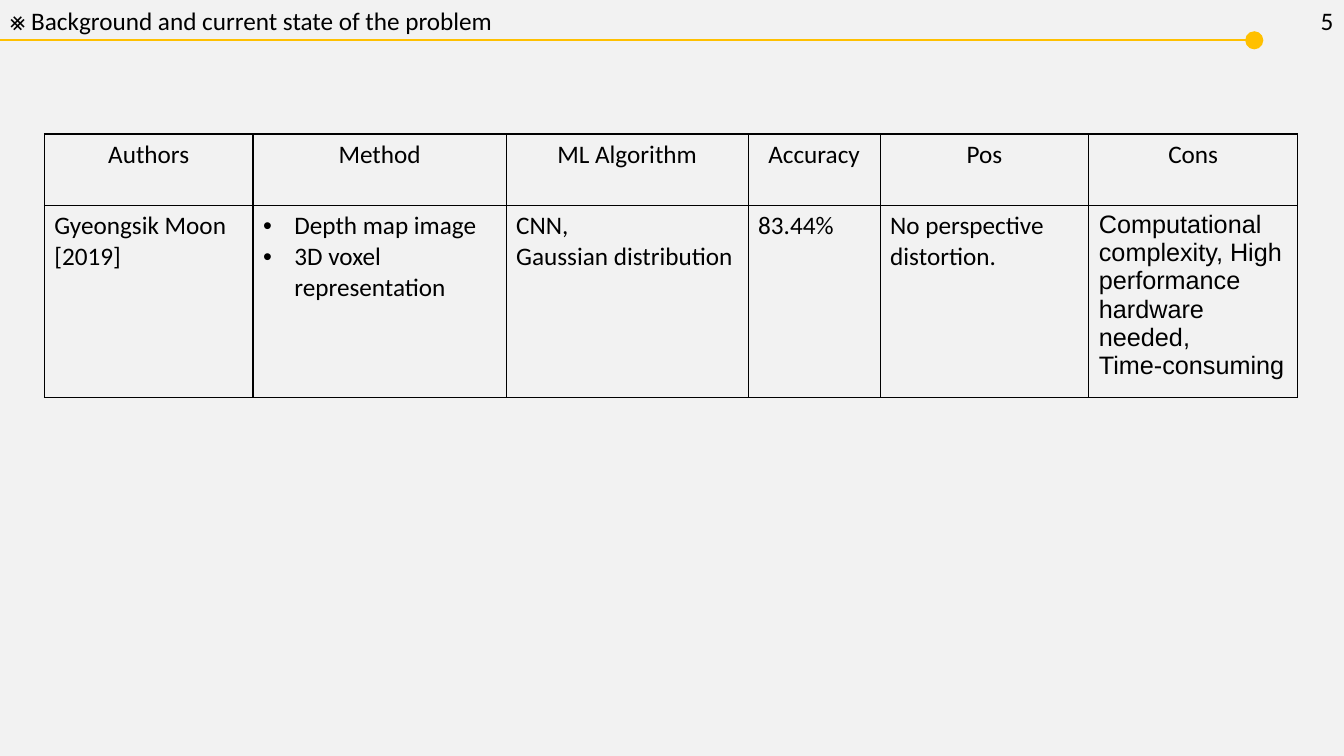
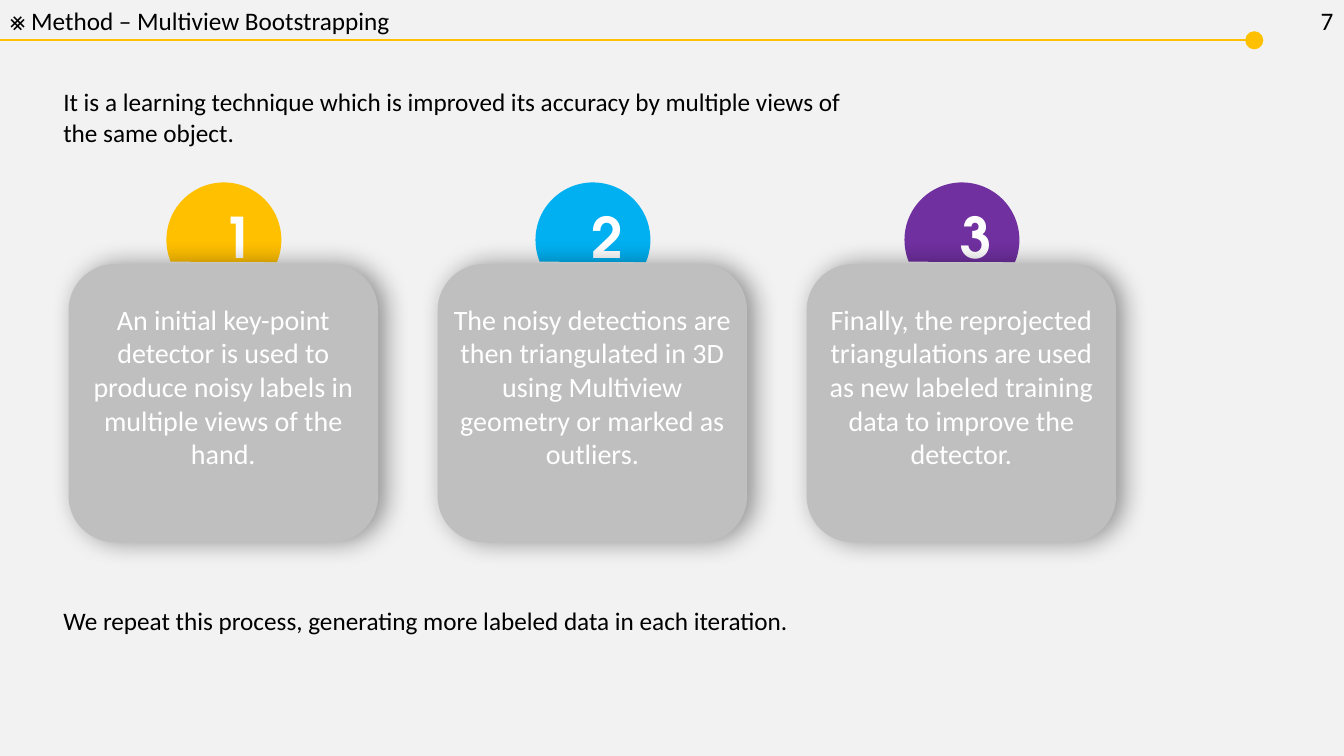
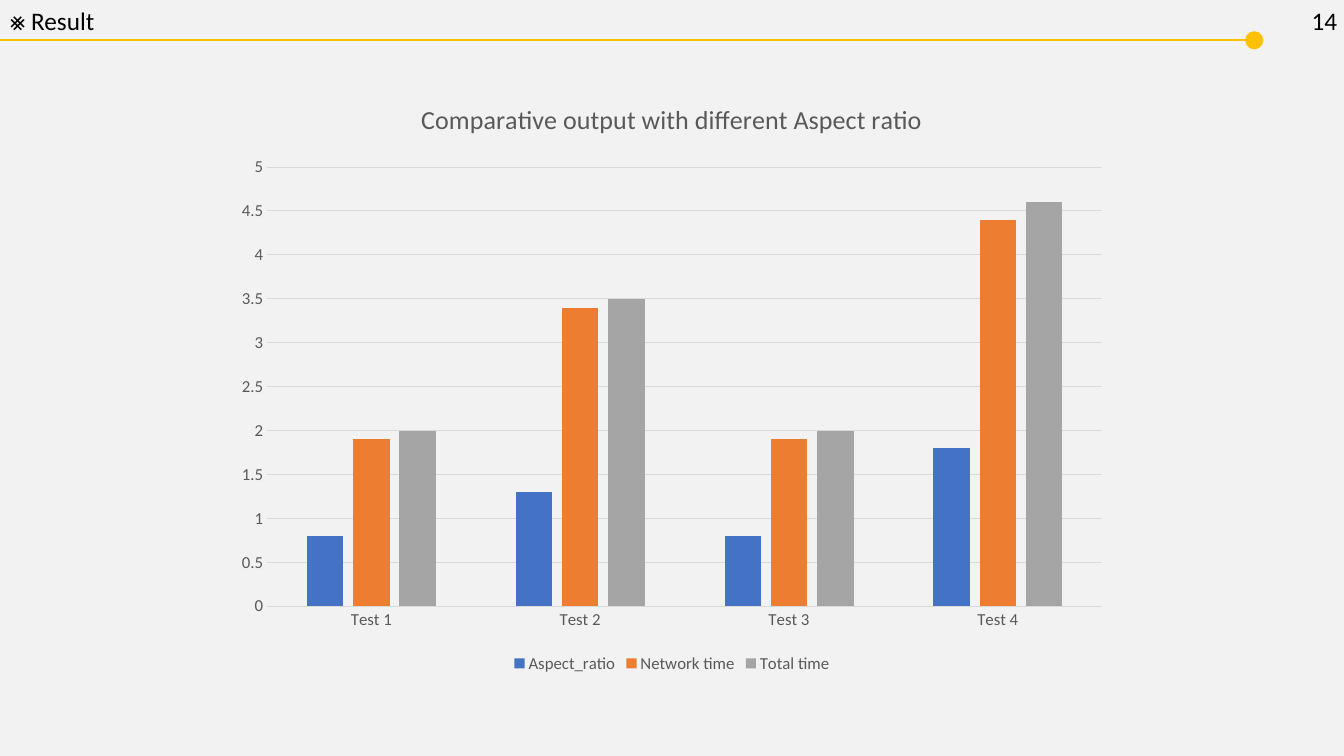
import pptx
import pptx.util
import pptx.dml.color
import pptx.enum.shapes
import pptx.enum.text
import pptx.enum.chart
import pptx.chart.data
import pptx.oxml
import pptx.oxml.ns
from lxml import etree

Inches = pptx.util.Inches
Pt = pptx.util.Pt
Shape = pptx.enum.shapes.MSO_SHAPE
Align = pptx.enum.text.PP_ALIGN
Fit = pptx.enum.text.MSO_AUTO_SIZE
qn = pptx.oxml.ns.qn

HUES = {
    "page": "F2F2F2", "ink": "000000", "white": "FFFFFF", "card": "BFBFBF",
    "gold": "FFC000", "sky": "00B0F0", "plum": "7030A0",
    "blue": "4472C4", "orange": "ED7D31", "gray": "A5A5A5",
    "label": "595959", "grid": "D9D9D9",
}


def rgb(hue):
    return pptx.dml.color.RGBColor.from_string(HUES[hue])


def assign(item, values):
    for key, value in values.items():
        setattr(item, key, value)


def style(font, size=18, hue="ink", name="Calibri", bold=False):
    assign(font, {"size": Pt(size), "name": name, "bold": bold})
    font.color.rgb = rgb(hue)


class Deck:
    def __init__(self):
        self.prs = pptx.Presentation()
        assign(self.prs, {"slide_width": Inches(13.33), "slide_height": Inches(7.5)})
        fill = self.prs.slide_master.background.fill
        fill.solid()
        fill.fore_color.rgb = rgb("page")
        self.slide = None

    def page(self, title, number, left=13, width=0.33, wrap=False):
        self.slide = self.prs.slides.add_slide(self.prs.slide_layouts[6])
        self.text((0, 0, 12.52, 0.4), "⨳ " + title)
        self.rule(0, 12.44, 0.4)
        self.shape(Shape.OVAL, (12.35, 0.31, 0.18, 0.18), "gold")
        self.text((left, 0, width, 0.4), number, wrap=wrap)

    def put(self, frame, lines, align=Align.LEFT, bullet=False, **font):
        for spot, line in enumerate(lines):
            para = frame.paragraphs[0] if spot == 0 else frame.add_paragraph()
            para.alignment = align
            if bullet:
                props = para._p.get_or_add_pPr()
                props.set("marL", str(Inches(0.31)))
                props.set("indent", str(-Inches(0.31)))
                etree.SubElement(props, qn("a:buFont")).set("typeface", "Arial")
                etree.SubElement(props, qn("a:buChar")).set("char", "•")
            run = para.add_run()
            run.text = line
            style(run.font, **font)

    def text(self, box, words, wrap=True, **look):
        frame = self.slide.shapes.add_textbox(*map(Inches, box)).text_frame
        assign(frame, {"word_wrap": wrap, "auto_size": Fit.SHAPE_TO_FIT_TEXT})
        self.put(frame, [words], **look)

    def rule(self, start, end, top):
        line = self.slide.shapes.add_connector(
            pptx.enum.shapes.MSO_CONNECTOR.STRAIGHT,
            *map(Inches, (start, top, end, top)))
        line.line.color.rgb = rgb("gold")
        line.line.width = Pt(1.5)
        etree.SubElement(line._element.spPr, qn("a:effectLst"))

    def shape(self, kind, box, hue, turn=0):
        shape = self.slide.shapes.add_shape(kind, *map(Inches, box))
        shape.shadow.inherit = False
        shape.rotation = turn
        shape.fill.solid()
        shape.fill.fore_color.rgb = rgb(hue)
        shape.line.fill.background()
        return shape

    def shade(self, shape):
        effects = shape._element.spPr.find(qn("a:effectLst"))
        effects.append(pptx.oxml.parse_xml(
            f'<a:outerShdw {pptx.oxml.ns.nsdecls("a")} blurRad="{Pt(18)}" '
            f'dist="{Pt(5)}" dir="0" algn="l" rotWithShape="0">'
            f'<a:srgbClr val="{HUES["ink"]}"><a:alpha val="40000"/></a:srgbClr>'
            '</a:outerShdw>'))

    def card(self, left, number, hue, words):
        self.shape(Shape.CHORD, (left + 0.97, 1.81, 1.14, 1.14), hue, 112.7)
        self.text((left + 1.43, 1.96, 0.21, 0.77), number, align=Align.CENTER,
                  size=40, hue="white", name="TeX Gyre Adventor", bold=True)
        self.shade(self.shape(Shape.ROUNDED_RECTANGLE, (left, 2.62, 3.07, 2.76), "card"))
        self.text((left, 2.95, 3.07, 1.78), words, align=Align.CENTER,
                  size=20, hue="white")

    def border(self, cell):
        props = cell._tc.get_or_add_tcPr()
        for spot, side in enumerate(("lnL", "lnR", "lnT", "lnB")):
            props.insert(spot, pptx.oxml.parse_xml(
                f'<a:{side} {pptx.oxml.ns.nsdecls("a")} w="{Pt(1)}"><a:solidFill>'
                f'<a:srgbClr val="{HUES["ink"]}"/></a:solidFill></a:{side}>'))

    def table(self, left, top, widths, heights, rows):
        box = map(Inches, (left, top, sum(widths), sum(heights)))
        table = self.slide.shapes.add_table(len(rows), len(widths), *box).table
        for col, width in zip(table.columns, widths):
            col.width = Inches(width)
        for row, height, cells in zip(table.rows, heights, rows):
            row.height = Inches(height)
            for cell, (lines, look) in zip(row.cells, cells):
                cell.fill.background()
                self.border(cell)
                self.put(cell.text_frame, lines, **look)

    def chart(self, box, title, cats, series):
        data = pptx.chart.data.CategoryChartData()
        data.categories = cats
        for name, hue, values in series:
            data.add_series(name, values)
        kind = pptx.enum.chart.XL_CHART_TYPE.COLUMN_CLUSTERED
        chart = self.slide.shapes.add_chart(kind, *map(Inches, box), data).chart
        style(chart.font, 10)
        chart.has_title = True
        self.put(chart.chart_title.text_frame, [title], Align.CENTER,
                 size=18.6, hue="label")
        chart.has_legend = True
        assign(chart.legend, {
            "position": pptx.enum.chart.XL_LEGEND_POSITION.BOTTOM,
            "include_in_layout": False})
        style(chart.legend.font, 12, "label")
        plot = chart.plots[0]
        assign(plot, {"gap_width": 219, "overlap": -27, "vary_by_categories": False})
        for bars, (name, hue, values) in zip(plot.series, series):
            bars.format.fill.solid()
            bars.format.fill.fore_color.rgb = rgb(hue)
        for axis in (chart.category_axis, chart.value_axis):
            axis.major_tick_mark = pptx.enum.chart.XL_TICK_MARK.NONE
            style(axis.tick_labels.font, 12, "label")
        axis.format.line.fill.background()
        for line in (chart.category_axis.format.line, axis.major_gridlines.format.line):
            line.color.rgb = rgb("grid")
            line.width = Pt(0.75)


def main():
    deck = Deck()

    deck.page("Background and current state of the problem", "5")
    heads = ["Authors", "Method", "ML Algorithm", "Accuracy", "Pos", "Cons"]
    study = [
        (["Gyeongsik Moon [2019]"], {}),
        (["Depth map image", "3D voxel representation"], {"bullet": True}),
        (["CNN,", "Gaussian distribution"], {}),
        (["83.44%"], {}),
        (["No perspective distortion."], {}),
        (["Computational complexity, High performance hardware needed,",
          "Time-consuming"], {"name": "Arial"}),
    ]
    deck.table(0.44, 1.33, [2.07, 2.51, 2.4, 1.31, 2.07, 2.07], [0.71, 1.9],
               [[([head], {"align": Align.CENTER}) for head in heads], study])

    deck.page("Method – Multiview Bootstrapping", "7")
    deck.text((0.53, 0.81, 8, 0.71), "It is a learning technique which is improved "
              "its accuracy by multiple views of the same object.")
    deck.text((0.53, 5.96, 8, 0.4), "We repeat this process, generating more "
              "labeled data in each iteration.")
    steps = [
        ("gold", "An initial key-point detector is used to produce noisy labels "
                 "in multiple views of the hand."),
        ("sky", "The noisy detections are then triangulated in 3D using Multiview "
                "geometry or marked as outliers."),
        ("plum", "Finally, the reprojected triangulations are used as new labeled "
                 "training data to improve the detector."),
    ]
    for spot, (hue, words) in enumerate(steps):
        deck.card(0.68 + 3.66 * spot, str(spot + 1), hue, words)

    deck.page("Result", "14", left=12.91, width=0.55, wrap=True)
    deck.chart((2.22, 0.79, 8.89, 5.93), "Comparative output with different Aspect ratio",
               [f"Test {spot}" for spot in range(1, 5)],
               [("Aspect_ratio", "blue", (0.8, 1.3, 0.8, 1.8)),
                ("Network time", "orange", (1.9, 3.4, 1.9, 4.4)),
                ("Total time", "gray", (2, 3.5, 2, 4.6))])

    deck.prs.save("out.pptx")


if __name__ == "__main__":
    main()
